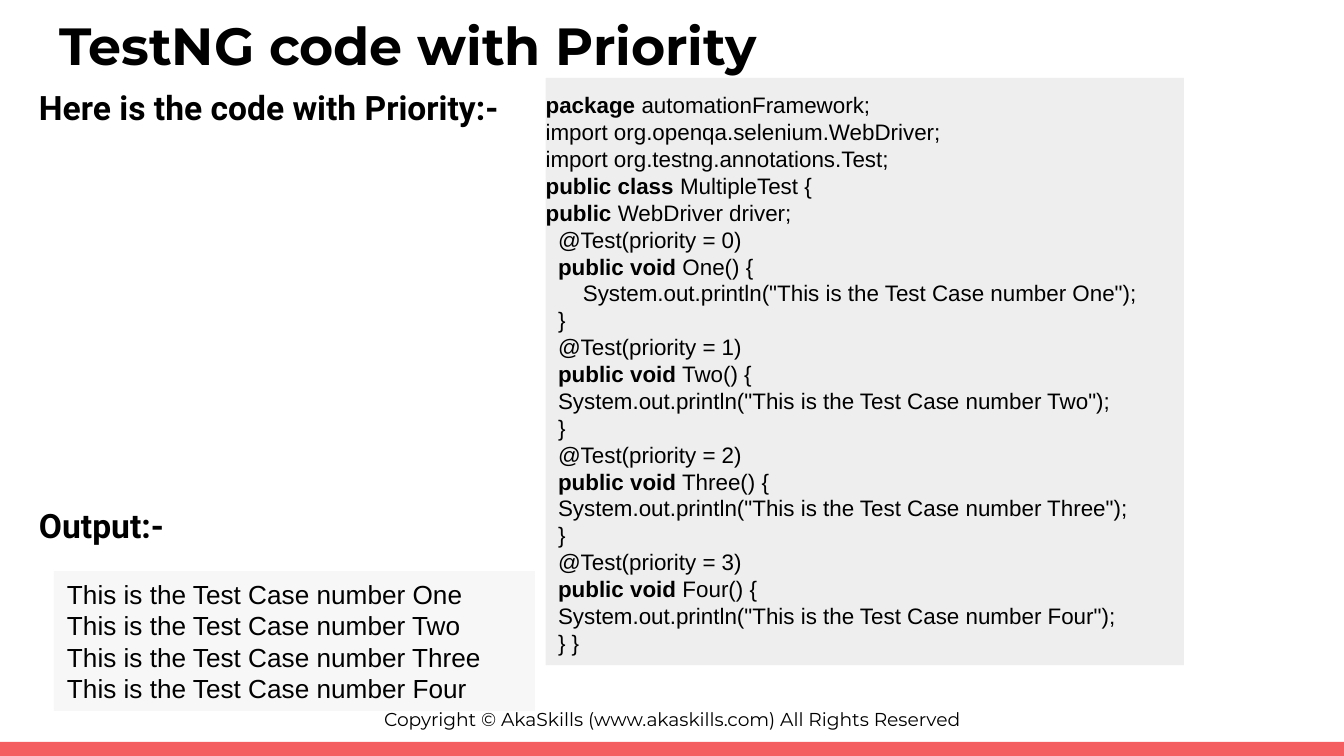
"""Build the slide on TestNG test priorities."""
import pptx
import pptx.dml.color
import pptx.enum.shapes
import pptx.enum.text
import pptx.oxml
import pptx.oxml.ns
import pptx.util

Inches = pptx.util.Inches
Pt = pptx.util.Pt
ANCHOR = pptx.enum.text.MSO_ANCHOR
ALIGN = pptx.enum.text.PP_ALIGN
NUMBERS = ["One", "Two", "Three", "Four"]


def rgb(value):
    """Return the colour for a hex string."""
    return pptx.dml.color.RGBColor.from_string(value)


def place(s, left, top, width, height):
    """Move and size a shape in inches."""
    s.left, s.top = Inches(left), Inches(top)
    s.width, s.height = Inches(width), Inches(height)


def write(s, lines, font="Arial", size=12, color="000000", bold=False,
          align=ALIGN.LEFT, anchor=ANCHOR.TOP, spacing=1.0, gap=0,
          insets=(0.1, 0.1, 0.1, 0.1)):
    """Write lines into a shape, with text between double asterisks in bold."""
    tf = s.text_frame
    tf.word_wrap = True
    tf.auto_size = pptx.enum.text.MSO_AUTO_SIZE.NONE
    tf.vertical_anchor = anchor
    tf.margin_left, tf.margin_top, tf.margin_right, tf.margin_bottom = map(Inches, insets)
    for i, line in enumerate(lines):
        p = tf.paragraphs[0] if i == 0 else tf.add_paragraph()
        p.alignment = align
        p.line_spacing = spacing
        p.space_before = Pt(gap if i else 0)
        p.space_after = Pt(0)
        for j, text in enumerate(line.split("**")):
            if text:
                r = p.add_run()
                r.text = text
                r.font.name = font
                r.font.size = Pt(size)
                r.font.bold = bold or j % 2 == 1
                r.font.color.rgb = rgb(color)


def remove_bullets(s):
    """Turn off bullets and indents in every paragraph of a shape."""
    for p in s.text_frame.paragraphs:
        pPr = p._p.get_or_add_pPr()
        pPr.set("marL", "0")
        pPr.set("indent", "0")
        pPr.append(pptx.oxml.parse_xml(f"<a:buNone {pptx.oxml.ns.nsdecls('a')}/>"))


def add_panel(slide, left, top, width, height, fill):
    """Add a plain filled rectangle."""
    s = slide.shapes.add_shape(pptx.enum.shapes.MSO_SHAPE.RECTANGLE, Inches(left),
                               Inches(top), Inches(width), Inches(height))
    s.shadow.inherit = False
    s.fill.solid()
    s.fill.fore_color.rgb = rgb(fill)
    s.line.fill.background()
    return s


def add_footer(slide):
    """Add the copyright line and the coloured bar."""
    s = slide.shapes.add_textbox(Inches(0), Inches(5.17), Inches(10), Inches(0.33))
    write(s, ["Copyright © AkaSkills (www.akaskills.com) All Rights Reserved"],
          font="Montserrat", size=10, align=ALIGN.CENTER)
    add_panel(slide, 0, 5.52, 10, 0.11, "F55E61")


def code_lines():
    """Return the lines of the Java class with its keywords marked."""
    lines = [
        "**package **automationFramework;",
        "import org.openqa.selenium.WebDriver;",
        "import org.testng.annotations.Test;",
        "**public class **MultipleTest {",
        "**public **WebDriver driver;",
    ]
    for i, number in enumerate(NUMBERS):
        indent = "  " if i else "      "
        lines += [
            f"  @Test(priority = {i})",
            f"  **public void** {number}() {{",
            f'{indent}System.out.println("This is the Test Case number {number}");',
            "  }",
        ]
    lines[-1] += " }"
    return lines


def main():
    """Build and save the presentation."""
    prs = pptx.Presentation()
    prs.slide_width = Inches(10)
    prs.slide_height = prs.slide_width * 9 // 16
    slide = prs.slides.add_slide(prs.slide_layouts[1])

    title, body = slide.placeholders
    place(title, 0.34, 0, 9.32, 0.58)
    write(title, ["TestNG code with Priority"], font="Montserrat", size=28, bold=True)
    place(body, 0.19, 0.5, 9.64, 4.72)
    write(body, ["Here is the code with Priority:-", "Output:-"],
          font="Roboto", size=18, bold=True, spacing=1.15, gap=199)
    remove_bullets(body)

    add_footer(slide)
    code = add_panel(slide, 4.06, 0.58, 4.75, 4.37, "EEEEEE")
    write(code, code_lines(), anchor=ANCHOR.MIDDLE, insets=(0, 0.08, 0, 0.05))
    output = add_panel(slide, 0.4, 4.25, 3.58, 1.04, "F7F7F7")
    write(output, [f"This is the Test Case number {number}" for number in NUMBERS],
          size=14, anchor=ANCHOR.MIDDLE, insets=(0.1, 0.05, 0.1, 0.05))
    prs.save("out.pptx")


if __name__ == "__main__":
    main()
